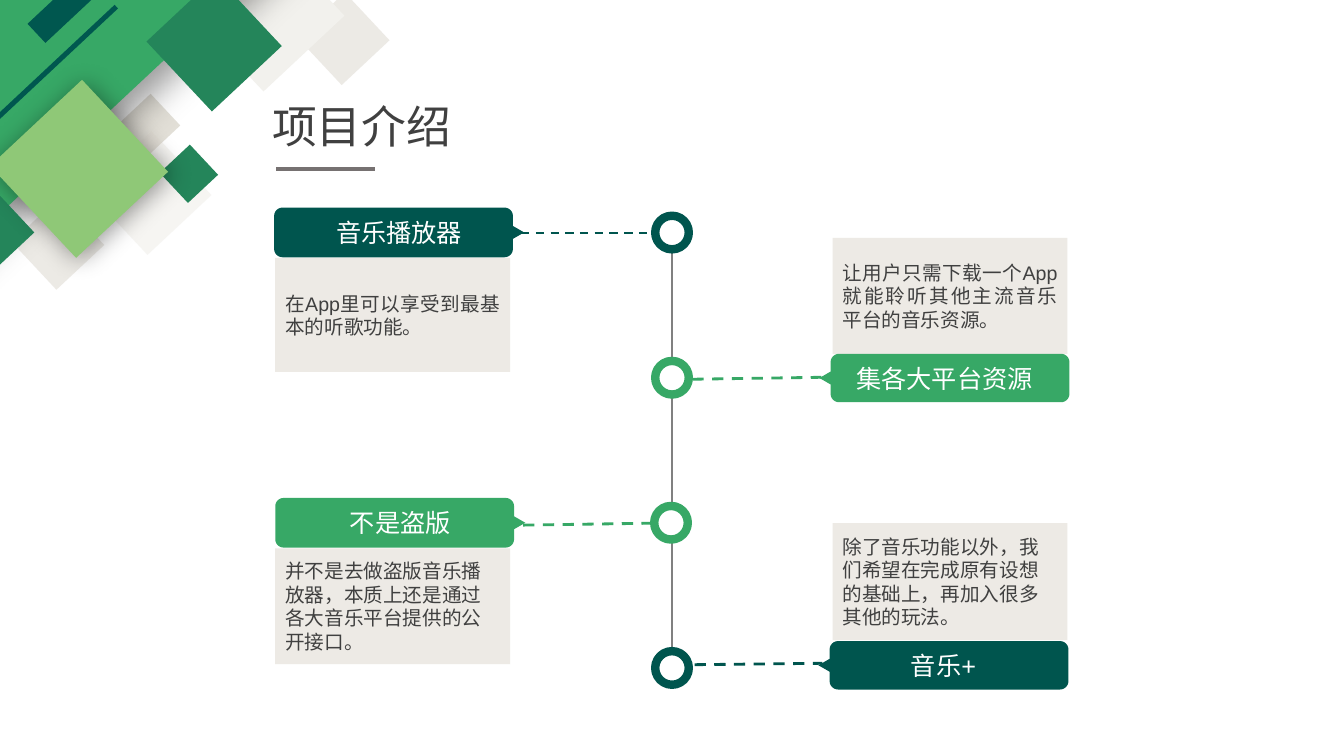
from math import cos, radians, sin

from lxml.etree import SubElement
from pptx import Presentation
from pptx.dml.color import RGBColor
from pptx.enum.dml import MSO_LINE
from pptx.enum.shapes import MSO_CONNECTOR, MSO_SHAPE
from pptx.enum.text import MSO_ANCHOR, PP_ALIGN
from pptx.oxml.ns import qn
from pptx.util import Pt

DARK, GREEN, MIDDLE, LIME = "00554E", "37A866", "24855A", "8FC877"
TEAL, CREAM, PALE, SAND = "00574F", "E7E4DD", "F2F1ED", "D8D4C9"
PANEL, TEXT, WHITE = "EDEAE5", "404040", "FFFFFF"


def paint(target, color):
    """Give a fill or font colour holder a solid hex colour."""
    if hasattr(target, "solid"):
        target.solid()
        target.fore_color.rgb = RGBColor.from_string(color)
    else:
        target.color.rgb = RGBColor.from_string(color)


def write(box, words, size, color, align):
    """Put one run of text, vertically centred, into a shape."""
    frame = box.text_frame
    frame.word_wrap = True
    frame.vertical_anchor = MSO_ANCHOR.MIDDLE
    para = frame.paragraphs[0]
    para.alignment = align
    span = para.add_run()
    span.text = words
    span.font.size = Pt(size)
    span.font.name = "Arial"
    paint(span.font, color)


deck = Presentation()
deck.slide_width, deck.slide_height = Pt(960), Pt(540)
page = deck.slides.add_slide(deck.slide_layouts[5])
shapes = page.shapes

# Tilted tiles: left, top, width, height, colour, opacity %, shadow (blur, distance, angle)
tiles = [
    (221.8, 4.3, 46.8, 46.8, CREAM, 76, None),
    (150.5, -30.2, 79.2, 79.2, PALE, 100, None),
    (18, 150.5, 46.8, 46.8, CREAM, 76, None),
    (75.6, 106.6, 62.6, 62.6, PALE, 67, None),
    (91.4, 73.4, 31, 31, SAND, 73, None),
    (-146.2, -97.9, 379.4, 177.1, GREEN, 100, (27, 16, 90)),
    (-117.4, 82.1, 231.8, 3.6, TEAL, 100, None),
    (120.2, 109.4, 29.5, 29.5, MIDDLE, 100, None),
    (118.8, -2.9, 68.4, 68.4, MIDDLE, 100, None),
    (-34.6, 140.4, 49, 49, MIDDLE, 100, None),
    (11.5, 75.6, 90, 90, LIME, 100, (18, 3, 45)),
    (-5.8, -66.2, 236.2, 18.7, TEAL, 100, None),
]
for left, top, width, height, color, opacity, shadow in tiles:
    tile = shapes.add_shape(MSO_SHAPE.RECTANGLE, Pt(left), Pt(top), Pt(width), Pt(height))
    tile.rotation = 316.9
    tile.shadow.inherit = False
    tile.line.fill.background()
    paint(tile.fill, color)
    if opacity < 100:
        tint = tile.fill._xPr.find(qn("a:solidFill"))[0]
        SubElement(tint, qn("a:alpha"), val=str(opacity * 1000))
    if shadow:
        blur, distance, angle = shadow
        effects = tile._element.spPr.find(qn("a:effectLst"))
        outer = SubElement(effects, qn("a:outerShdw"), blurRad=str(Pt(blur)), dist=str(Pt(distance)),
                           dir=str(angle * 60000), algn="ctr", rotWithShape="0")
        black = SubElement(outer, qn("a:srgbClr"), val="000000")
        SubElement(black, qn("a:alpha"), val="40000")

title = shapes.title
title.left, title.top, title.width, title.height = Pt(187.2), Pt(67), Pt(293), Pt(46)
write(title, "项目介绍", 32, TEXT, PP_ALIGN.LEFT)

# Text panels: left, top, height, alignment, words
panels = [
    (594.7, 373.7, 83.5, PP_ALIGN.LEFT, "除了音乐功能以外，我们希望在完成原有设想的基础上，再加入很多其他的玩法。"),
    (594.7, 169.9, 82.8, PP_ALIGN.JUSTIFY, "让用户只需下载一个App就能聆听其他主流音乐平台的音乐资源。"),
    (196.6, 391.7, 82.8, PP_ALIGN.LEFT, "并不是去做盗版音乐播放器，本质上还是通过各大音乐平台提供的公开接口。"),
    (196.6, 184.3, 81.4, PP_ALIGN.JUSTIFY, "在App里可以享受到最基本的听歌功能。"),
]
for left, top, height, align, words in panels:
    panel = shapes.add_shape(MSO_SHAPE.RECTANGLE, Pt(left), Pt(top), Pt(167.8), Pt(height))
    panel.shadow.inherit = False
    panel.line.fill.background()
    paint(panel.fill, PANEL)
    write(panel, words, 14, TEXT, align)

# Title rule, timeline spine and dashed links: start, end, colour, weight, dashed
lines = [
    (197.3, 121, 267.8, 121, "767171", 3, False),
    (480.2, 154, 480.2, 489, "808080", 1.5, False),
    (372.2, 166.3, 468, 166.3, DARK, 1.5, True),
    (494.6, 270.9, 586.8, 269.5, GREEN, 2, True),
    (496.1, 474.8, 587.5, 473.8, DARK, 2, True),
    (373.7, 375.1, 467.3, 373.7, GREEN, 2, True),
]
for x1, y1, x2, y2, color, weight, dashed in lines:
    line = shapes.add_connector(MSO_CONNECTOR.STRAIGHT, Pt(x1), Pt(y1), Pt(x2), Pt(y2))
    paint(line.line.fill, color)
    line.line.width = Pt(weight)
    if dashed:
        line.line.dash_style = MSO_LINE.DASH
    SubElement(line._element.spPr, qn("a:effectLst"))

for left, top, color in [(468, 154.1, DARK), (468, 465.1, DARK), (468, 257.8, GREEN), (467.3, 361.4, GREEN)]:
    ring = shapes.add_shape(MSO_SHAPE.OVAL, Pt(left), Pt(top), Pt(24), Pt(24))
    ring.shadow.inherit = False
    paint(ring.fill, WHITE)
    paint(ring.line.fill, color)
    ring.line.width = Pt(6)

# Rounded labels with a tip towards the spine: body left, top, height, tip on right, colour, words
labels = [
    (195.8, 148.3, 35.5, True, DARK, "音乐播放器"),
    (196.6, 355.7, 35.5, True, GREEN, "不是盗版"),
    (593.3, 252.7, 34.6, False, GREEN, "集各大平台资源"),
    (592.6, 457.9, 34.6, False, DARK, "音乐+"),
]
BODY, TIP, RADIUS = 170.6, 8, 6
for left, top, height, tip_right, color, words in labels:
    outline = []
    corners = [(RADIUS, RADIUS, 180), (BODY - RADIUS, RADIUS, 270),
               (BODY - RADIUS, height - RADIUS, 0), (RADIUS, height - RADIUS, 90)]
    for x, y, start in corners:
        if start == 0:
            middle = height / 2
            outline += [(BODY, middle - 4.6), (BODY + TIP, middle), (BODY, middle + 4.6)]
        for angle in range(start, start + 91, 15):
            outline.append((x + RADIUS * cos(radians(angle)), y + RADIUS * sin(radians(angle))))
    points = [(Pt(left + (x if tip_right else BODY - x)), Pt(top + y)) for x, y in outline]
    builder = shapes.build_freeform(*points[0])
    builder.add_line_segments(points[1:], close=True)
    label = builder.convert_to_shape()
    label.shadow.inherit = False
    label.line.fill.background()
    paint(label.fill, color)
    write(label, words, 18, WHITE, PP_ALIGN.CENTER)

deck.save("out.pptx")
